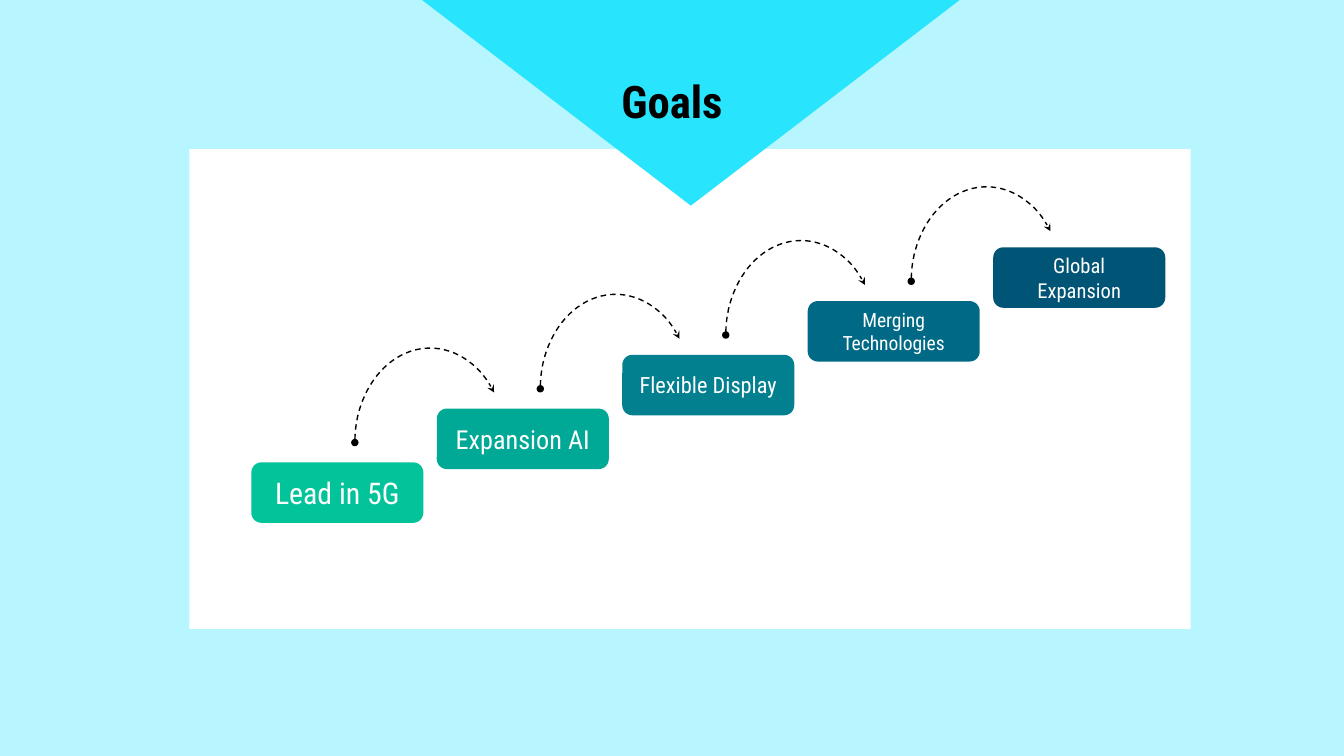
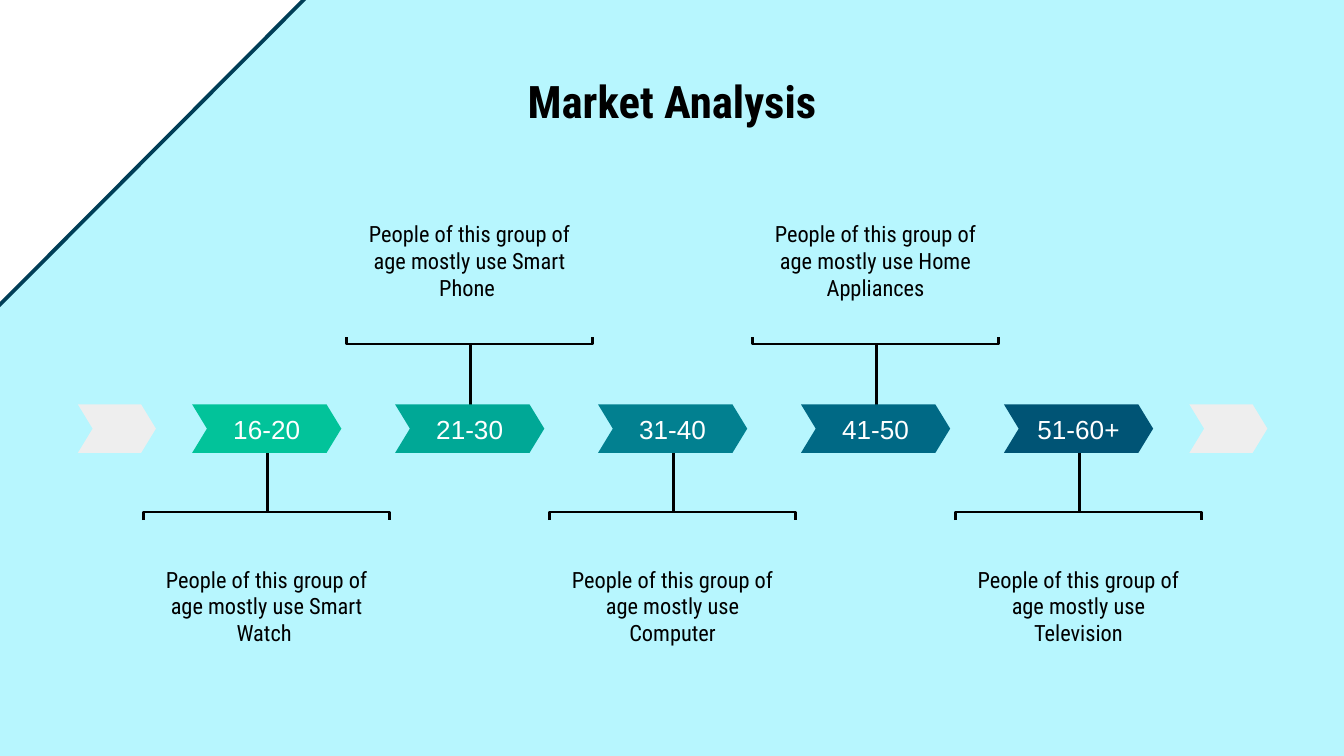
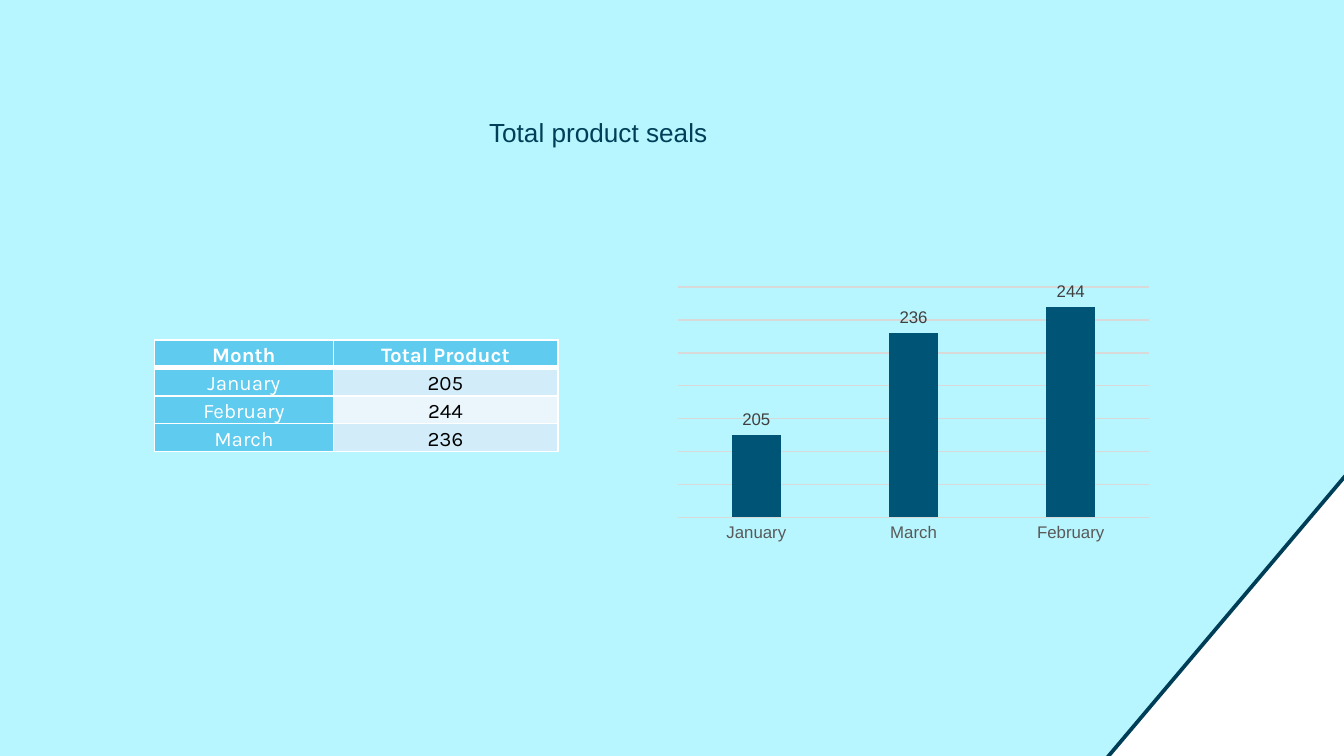
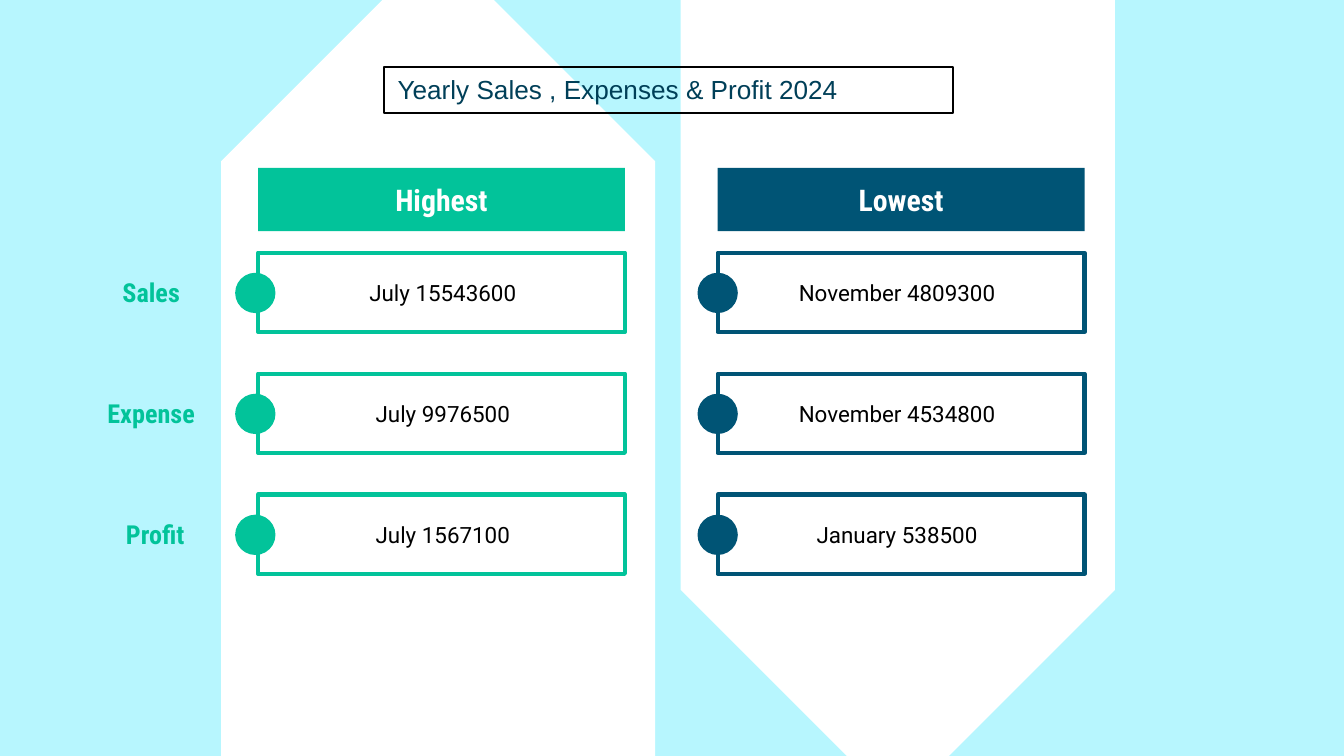
"""Build four slides on goals, market ages, product totals and yearly figures."""
from pptx import Presentation
from pptx.chart.data import CategoryChartData
from pptx.dml.color import RGBColor
from pptx.enum import chart as ch, dml, shapes, text
from pptx.oxml import parse_xml
from pptx.oxml.ns import nsdecls
from pptx.util import Inches, Pt

SKY = RGBColor(0xB7, 0xF6, 0xFE)
CYAN = RGBColor(0x28, 0xE4, 0xFC)
WHITE = RGBColor(255, 255, 255)
BLACK = RGBColor(0, 0, 0)
GREEN = RGBColor(0x02, 0xC3, 0x9A)
JADE = RGBColor(0x00, 0xA8, 0x96)
TEAL = RGBColor(0x02, 0x80, 0x90)
BLUE = RGBColor(0x00, 0x69, 0x85)
NAVY = RGBColor(0x00, 0x54, 0x75)
EDGE = RGBColor(0x00, 0x3E, 0x57)
INK = RGBColor(0x00, 0x3F, 0x58)
PALE = RGBColor(0xEE, 0xEE, 0xEE)
HEAD = RGBColor(0x5F, 0xCB, 0xEF)
ODD = RGBColor(0xD2, 0xEC, 0xF9)
EVEN = RGBColor(0xEA, 0xF6, 0xFC)
GRID = RGBColor(0xD9, 0xD9, 0xD9)
GREY = RGBColor(0x59, 0x59, 0x59)
DARK = RGBColor(0x40, 0x40, 0x40)
STEPS = [GREEN, JADE, TEAL, BLUE, NAVY]
CONDENSED = "Roboto Condensed"
FORM = shapes.MSO_SHAPE
MID = text.MSO_ANCHOR.MIDDLE
TOP = text.MSO_ANCHOR.TOP


def draw(page, form, box, fill=None, line=None, width=1, turn=0, adj=()):
    """Add a preset shape, or a text box when form is None."""
    box = [Inches(n) for n in box]
    if form is None:
        return page.shapes.add_textbox(*box)
    shape = page.shapes.add_shape(form, *box)
    shape.shadow.inherit = False
    shape.rotation = turn
    for i, n in enumerate(adj):
        shape.adjustments[i] = n
    if fill is None:
        shape.fill.background()
    else:
        shape.fill.solid()
        shape.fill.fore_color.rgb = fill
    if line is None:
        shape.line.fill.background()
    else:
        shape.line.color.rgb = line
        shape.line.width = Pt(width)
    return shape


def write(frame, words, size=12, face=CONDENSED, color=BLACK, bold=False,
          align=text.PP_ALIGN.CENTER, anchor=MID, pad=0.1, space=None):
    """Put one formatted paragraph into a text frame."""
    if anchor is not None:
        frame.word_wrap = True
        frame.vertical_anchor = anchor
        frame.margin_left = frame.margin_right = Inches(0.1)
        frame.margin_top = frame.margin_bottom = Inches(pad)
    para = frame.paragraphs[0]
    para.alignment = align
    para.line_spacing = space
    run = para.add_run()
    run.text = words
    run.font.size = Pt(size)
    run.font.name = face
    run.font.bold = bold
    run.font.color.rgb = color


deck = Presentation()
deck.slide_width, deck.slide_height = Inches(10), Inches(10) * 9 // 16
pages = []
for _ in range(4):
    page = deck.slides.add_slide(deck.slide_layouts[6])
    page.background.fill.solid()
    page.background.fill.fore_color.rgb = SKY
    pages.append(page)
goals, market, total, yearly = pages

draw(goals, FORM.RECTANGLE, (1.41, 1.11, 7.45, 3.57), WHITE)
aims = [("Lead in 5G", 16), ("Expansion AI", 14), ("Flexible Display", 12),
        ("Merging Technologies", 10.5), ("Global Expansion", 11)]
for i, ((name, size), color) in enumerate(zip(aims, STEPS)):
    left, top = 1.87 + 1.38 * i, 3.44 - 0.4 * i
    if i < len(aims) - 1:
        arc = draw(goals, FORM.ARC, (left + 0.77, top - 0.85, 1.12, 1.4),
                   line=BLACK, width=0.75, adj=(107.804, 193.313))
        arc.line.dash_style = dml.MSO_LINE.DASH
        for tag, tip in (("headEnd", "oval"), ("tailEnd", "stealth")):
            arc.line._get_or_add_ln().append(
                parse_xml(f'<a:{tag} {nsdecls("a")} type="{tip}" w="sm" len="sm"/>'))
    step = draw(goals, FORM.ROUNDED_RECTANGLE, (left, top, 1.28, 0.45), color, adj=[0.167])
    write(step.text_frame, name, size=size, color=WHITE)
draw(goals, FORM.ISOSCELES_TRIANGLE, (3.14, 0, 4, 1.53), CYAN, turn=180)

for page, name in ((goals, "Goals"), (market, "Market Analysis")):
    title = draw(page, None, (0.5, 0.45, 9, 0.63))
    write(title.text_frame, name, size=24, bold=True, anchor=TOP)

ages = [("16-20", "Smart Watch "), ("21-30", "Smart Phone "), ("31-40", "Computer"),
        ("41-50", "Home Appliances"), ("51-60+", "Television")]
for i, ((age, thing), color) in enumerate(zip(ages, STEPS)):
    left = 1.07 + 1.51 * i
    bar, lip, top = (2.56, 2.51, 1.54) if i % 2 else (3.81, 3.87, 4.11)
    note = draw(market, None, (left, top, 1.83, 0.97))
    write(note.text_frame, f"People of this group of age mostly use {thing}", anchor=TOP)
    stem = market.shapes.add_connector(
        shapes.MSO_CONNECTOR.STRAIGHT, Inches(left + 0.92), Inches(3.19),
        Inches(left + 0.92), Inches(bar))
    stem._element.spPr.append(parse_xml(f'<a:effectLst {nsdecls("a")}/>'))
    edge = market.shapes.build_freeform(Inches(left), Inches(lip))
    edge.add_line_segments([(Inches(x), Inches(y)) for x, y in (
        (left, bar), (left + 1.83, bar), (left + 1.83, lip))], close=False)
    brace = edge.convert_to_shape()
    brace.shadow.inherit = False
    brace.fill.background()
    for part in (stem, brace):
        part.line.color.rgb = BLACK
        part.line.width = Pt(1.5)
    tag = draw(market, FORM.CHEVRON, (left + 0.36, 3.01, 1.11, 0.36), color, adj=[0.305])
    write(tag.text_frame, age, size=14, face="Arial", color=WHITE)
for left in (0.58, 8.85):
    draw(market, FORM.CHEVRON, (left, 3.01, 0.58, 0.36), PALE, adj=[0.305])
draw(market, FORM.ISOSCELES_TRIANGLE, (-1.19, -0.32, 3.37, 1.73), WHITE, EDGE, 2, 314.9, [0.498])

label = draw(total, None, (3.54, 0.82, 4.31, 0.4))
write(label.text_frame, "Total product seals", size=14, face="Arial", color=INK,
      align=text.PP_ALIGN.LEFT, anchor=TOP, pad=0.05)
rows = [("Month", "Total Product"), ("January", "205"), ("February", "244"), ("March", "236")]
table = total.shapes.add_table(4, 2, Inches(1.15), Inches(2.53), Inches(3), Inches(0.83)).table
table.first_row = table.horz_banding = False
for col, width in zip(table.columns, (1.33, 1.67)):
    col.width = Inches(width)
for r, row in enumerate(rows):
    table.rows[r].height = Inches(0.83 / 4)
    for c, words in enumerate(row):
        cell = table.cell(r, c)
        cell.margin_left = cell.margin_right = Inches(0.07)
        cell.margin_top = cell.margin_bottom = 0
        cell.vertical_anchor = text.MSO_ANCHOR.BOTTOM
        for side in "LRTB":
            thick = 3 if (r, side) in ((0, "B"), (1, "T")) else 1
            cell._tc.get_or_add_tcPr().append(parse_xml(
                f'<a:ln{side} {nsdecls("a")} w="{Pt(thick)}"><a:solidFill>'
                f'<a:srgbClr val="{WHITE}"/></a:solidFill></a:ln{side}>'))
        plain = r > 0 and c > 0
        cell.fill.solid()
        cell.fill.fore_color.rgb = (ODD if r % 2 else EVEN) if plain else HEAD
        write(cell.text_frame, words, size=11, face="Karla", color=BLACK if plain else WHITE,
              bold=r == 0, anchor=None, space=1.07)

data = CategoryChartData()
data.categories = ["January", "March", "February"]
data.add_series("Series 1", (205, 236, 244))
chart = total.shapes.add_chart(ch.XL_CHART_TYPE.COLUMN_CLUSTERED, Inches(4.72), Inches(2.07),
                               Inches(3.89), Inches(1.99), data).chart
chart.has_legend = chart.has_title = False
plot = chart.plots[0]
plot.vary_by_categories = False
plot.gap_width, plot.overlap = 219, -27
plot.has_data_labels = True
marks = plot.data_labels
marks.show_value = True
marks.position = ch.XL_LABEL_POSITION.OUTSIDE_END
bars = plot.series[0].format.fill
bars.solid()
bars.fore_color.rgb = NAVY
months, scale = chart.category_axis, chart.value_axis
months.major_tick_mark = ch.XL_TICK_MARK.NONE
scale.visible = False
scale.minimum_scale, scale.maximum_scale, scale.major_unit = 180, 250, 10
scale.has_major_gridlines = True
for line in (months.format.line, scale.major_gridlines.format.line):
    line.color.rgb = GRID
    line.width = Pt(0.75)
for font, size, color in ((chart.font, 10, BLACK), (months.tick_labels.font, 9, GREY),
                          (marks.font, 9, DARK)):
    font.name, font.size = "Arial", Pt(size)
    font.color.rgb = color
area = chart._chartSpace.chart.plotArea
for old in area.findall("{*}layout"):
    area.remove(old)
spots = "".join(f'<c:{k} val="{v}"/>' for k, v in (
    ("layoutTarget", "inner"), ("xMode", "edge"), ("yMode", "edge"),
    ("x", 0.083), ("y", 0.033), ("w", 0.902), ("h", 0.862)))
area.insert(0, parse_xml(
    f'<c:layout {nsdecls("c")}><c:manualLayout>{spots}</c:manualLayout></c:layout>'))
draw(total, FORM.ISOSCELES_TRIANGLE, (8, 4.36, 3.41, 1.67), WHITE, EDGE, 2, 130.2)

for left, top, turn in ((0.24, 0.99, 270), (3.66, 1.37, 90)):
    draw(yearly, FORM.PENTAGON, (left, top, 6.04, 3.23), WHITE, turn=turn)
sides = [("Highest", GREEN, 1.92, 1.75, 2.12, ["July 15543600", "July 9976500", "July 1567100"]),
         ("Lowest", NAVY, 5.34, 5.19, 5.5,
          ["November 4809300", "November 4534800", "January 538500"])]
for name, color, left, dot, inset, facts in sides:
    band = draw(yearly, FORM.RECTANGLE, (left, 1.25, 2.73, 0.47), color)
    write(band.text_frame, name, size=16, color=WHITE, bold=True)
    for i, fact in enumerate(facts):
        top = 1.88 + 0.9 * i
        draw(yearly, FORM.RECTANGLE, (left, top, 2.73, 0.59), line=color, width=2.25)
        draw(yearly, FORM.OVAL, (dot, top + 0.15, 0.3, 0.3), color)
        note = draw(yearly, None, (inset, top + 0.06, 2.35, 0.47))
        write(note.text_frame, fact, face="Roboto")
for i, (name, left) in enumerate((("Sales", 0.5), ("Expense", 0.5), ("Profit", 0.53))):
    label = draw(yearly, None, (left, 1.88 + 0.9 * i, 1.25, 0.59))
    write(label.text_frame, name, size=14, color=GREEN, bold=True)
title = draw(yearly, FORM.RECTANGLE, (2.86, 0.5, 4.23, 0.34), line=BLACK)
write(title.text_frame, "Yearly Sales , Expenses & Profit 2024", size=14, face="Arial",
      color=INK, align=text.PP_ALIGN.LEFT, anchor=TOP, pad=0.05)

deck.save("out.pptx")
